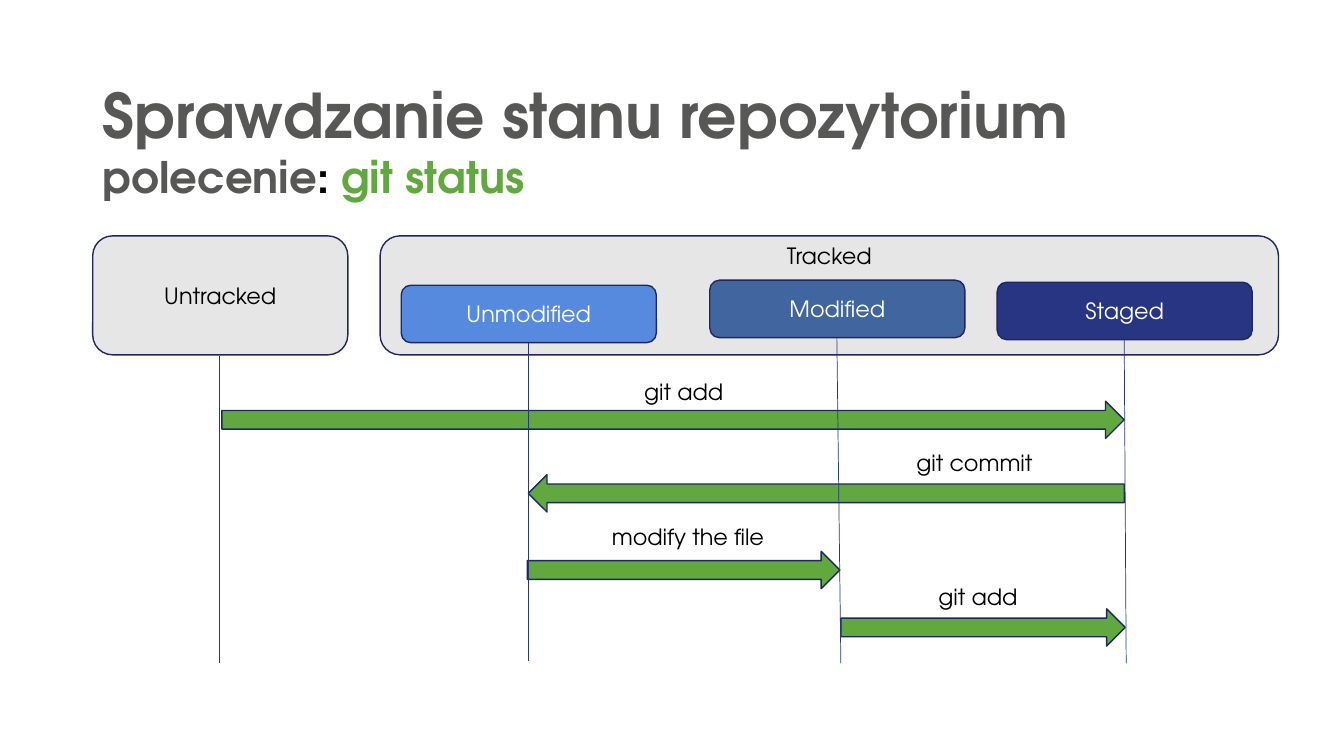
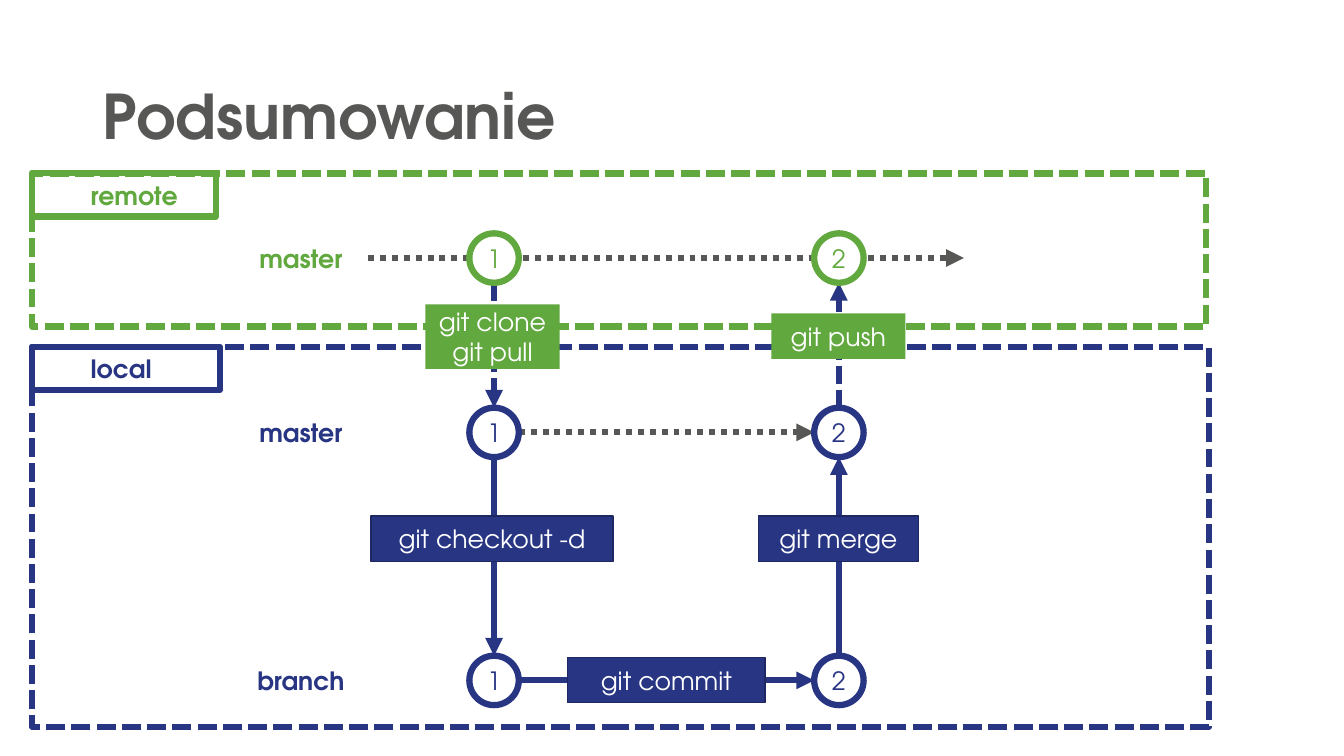
"""Build two slides on Git file states and the Git workflow."""
import dataclasses
import typing

import lxml.etree
import pptx
import pptx.dml.color
import pptx.enum.dml
import pptx.enum.shapes
import pptx.enum.text
import pptx.oxml
import pptx.oxml.ns
import pptx.util

Inches = pptx.util.Inches
Pt = pptx.util.Pt
Kind = pptx.enum.shapes.MSO_SHAPE
Dash = pptx.enum.dml.MSO_LINE
Align = pptx.enum.text.PP_ALIGN
Anchor = pptx.enum.text.MSO_ANCHOR

FONT = "TeX Gyre Adventor"
HEX = {
    "navy": "283583",
    "edge": "1E2761",
    "green": "61A83F",
    "gray": "575756",
    "pale": "E7E6E6",
    "sky": "558ADF",
    "steel": "41669F",
    "black": "000000",
    "white": "FFFFFF",
}


@dataclasses.dataclass
class Run:
    text: str
    size: float
    color: str
    bold: bool = False


@dataclasses.dataclass
class Box:
    left: float
    top: float
    width: float
    height: float
    kind: typing.Any = Kind.RECTANGLE
    fill: str = ""
    edge: str = ""
    weight: float = 1
    dash: typing.Any = None
    run: typing.Optional[Run] = None
    align: typing.Any = Align.CENTER
    anchor: typing.Any = Anchor.MIDDLE
    inset: float = 0.1
    head: float = 0.05


@dataclasses.dataclass
class Link:
    start: tuple[float, float]
    end: tuple[float, float]
    color: str = "navy"
    weight: float = 4.25
    dash: typing.Any = None
    arrow: bool = True


def tint(name: str) -> pptx.dml.color.RGBColor:
    return pptx.dml.color.RGBColor.from_string(HEX[name])


def write(para: typing.Any, item: Run) -> None:
    run = para.add_run()
    run.text = item.text
    run.font.name = FONT
    run.font.size = Pt(item.size)
    run.font.bold = item.bold
    run.font.color.rgb = tint(item.color)


def draw(slide: typing.Any, box: Box) -> None:
    spot = [Inches(n) for n in (box.left, box.top, box.width, box.height)]
    if box.kind is None:
        shape = slide.shapes.add_textbox(*spot)
    else:
        shape = slide.shapes.add_shape(box.kind, *spot)
        shape.shadow.inherit = False
        if box.fill:
            shape.fill.solid()
            shape.fill.fore_color.rgb = tint(box.fill)
        else:
            shape.fill.background()
        if box.edge:
            shape.line.color.rgb = tint(box.edge)
            shape.line.width = Pt(box.weight)
            if box.dash is not None:
                shape.line.dash_style = box.dash
        else:
            shape.line.fill.background()
    if box.run:
        frame = shape.text_frame
        frame.word_wrap = True
        frame.vertical_anchor = box.anchor
        frame.margin_left = Inches(box.inset)
        frame.margin_top = Inches(box.head)
        para = frame.paragraphs[0]
        para.alignment = box.align
        write(para, box.run)


def join(slide: typing.Any, link: Link) -> None:
    ends = [Inches(n) for n in (*link.start, *link.end)]
    line = slide.shapes.add_connector(
        pptx.enum.shapes.MSO_CONNECTOR.STRAIGHT, *ends)
    line.line.color.rgb = tint(link.color)
    line.line.width = Pt(link.weight)
    if link.dash is not None:
        line.line.dash_style = link.dash
    if link.arrow:
        tail = lxml.etree.SubElement(
            line.line._get_or_add_ln(), pptx.oxml.ns.qn("a:tailEnd"))
        tail.set("type", "triangle")
    lxml.etree.SubElement(
        line._element.spPr, pptx.oxml.ns.qn("a:effectLst"))


def start(deck: typing.Any, top: float, *rows: list[Run]) -> typing.Any:
    slide = deck.slides.add_slide(deck.slide_layouts[5])
    title = slide.shapes.title
    title.left, title.top = Inches(0.92), Inches(top)
    title.width, title.height = Inches(11.5), Inches(1.45)
    frame = title.text_frame
    frame.word_wrap = True
    frame.auto_size = pptx.enum.text.MSO_AUTO_SIZE.NONE
    frame.vertical_anchor = Anchor.MIDDLE
    para = frame.paragraphs[0]
    para.alignment = Align.LEFT
    for place, row in enumerate(rows):
        if place:
            para.add_line_break()
        for item in row:
            write(para, item)
    return slide


def states(deck: typing.Any) -> None:
    slide = start(
        deck, 0.66,
        [Run("Sprawdzanie stanu repozytorium", 44, "gray", True)],
        [Run("polecenie", 31, "gray", True), Run(": ", 31, "black", True),
         Run("git status", 31, "green", True)])
    round_box = Kind.ROUNDED_RECTANGLE
    draw(slide, Box(3.77, 2.34, 8.91, 1.18, round_box, "pale", "edge",
                    run=Run("Tracked", 16, "black"),
                    anchor=Anchor.TOP, head=0))
    draw(slide, Box(0.92, 2.34, 2.53, 1.18, round_box, "pale", "edge",
                    run=Run("Untracked", 16, "black")))
    for left, top, fill, text in (
            (3.98, 2.83, "sky", "Unmodified"),
            (7.04, 2.78, "steel", "Modified"),
            (9.89, 2.8, "navy", "Staged")):
        draw(slide, Box(left, top, 2.53, 0.57, round_box, fill, "edge",
                        run=Run(text, 16, "white")))
    right, back = Kind.RIGHT_ARROW, Kind.LEFT_ARROW
    for kind, left, top, width, text, text_left, text_top in (
            (right, 2.2, 3.98, 8.95, "git add", 6.29, 3.7),
            (back, 5.24, 4.71, 5.91, "git commit", 8.99, 4.41),
            (right, 5.23, 5.47, 3.1, "modify the file", 5.97, 5.14),
            (right, 8.34, 6.04, 2.82, "git add", 9.21, 5.74)):
        draw(slide, Box(left, top, width, 0.37, kind, "green", "edge"))
        draw(slide, Box(text_left, text_top, 1.8, 0.37, None,
                        run=Run(text, 16, "black"),
                        align=Align.LEFT, anchor=Anchor.TOP))
    for first, last in (
            ((2.18, 3.53), (2.18, 6.58)),
            ((5.24, 3.4), (5.24, 6.56)),
            ((8.3, 3.35), (8.34, 6.58)),
            ((11.15, 3.37), (11.17, 6.58))):
        join(slide, Link(first, last, weight=0.5, arrow=False))


def summary(deck: typing.Any) -> None:
    slide = start(deck, 0.41, [Run("Podsumowanie", 44, "gray", True)])
    cols = {"1": 4.9, "2": 8.32}
    rows = (("master", 2.56, "green"), ("master", 4.29, "navy"),
            ("branch", 6.75, "navy"))
    far, near, low = (mid for _, mid, _ in rows)
    one, two = cols.values()
    half = 0.245
    dot, dash = Dash.ROUND_DOT, Dash.SQUARE_DOT

    for text, color, top, width, height, tab in (
            ("remote", "green", 1.72, 11.64, 1.52, 1.82),
            ("local", "navy", 3.44, 11.67, 3.77, 1.86)):
        draw(slide, Box(0.32, top, width, height, edge=color,
                        weight=4.5, dash=dash))
        draw(slide, Box(0.32, top, tab, 0.43, edge=color, weight=4.5,
                        run=Run(text, 18, color, True),
                        align=Align.LEFT, inset=0.58))

    for link in (
            Link((3.65, far), (9.56, far), "gray", dash=dot),
            Link((one + half, near), (two - half, near), "gray", dash=dot),
            Link((one, far + half), (one, near - half), dash=dash),
            Link((one, near + half), (one, low - half)),
            Link((one + half, low), (two - half, low)),
            Link((two, low - half), (two, near + half)),
            Link((two, near - half), (two, far + half), dash=dash)):
        join(slide, link)

    for text, mid, color in rows:
        draw(slide, Box(2.32, mid - 0.225, 1.33, 0.45, None,
                        run=Run(text, 18, color, True)))
        for mark, col in cols.items():
            draw(slide, Box(col - half, mid - half, 2 * half, 2 * half,
                            Kind.OVAL, "white", color, 4.5,
                            run=Run(mark, 18, color)))

    for text, left, top, width, height, fill, edge in (
            ("git clone git pull", 4.22, 3.02, 1.33, 0.64, "green", ""),
            ("git push", 7.65, 3.11, 1.33, 0.45, "green", ""),
            ("git checkout -d", 3.68, 5.12, 2.4, 0.45, "navy", "edge"),
            ("git merge", 7.52, 5.12, 1.59, 0.45, "navy", "edge"),
            ("git commit", 5.63, 6.52, 1.96, 0.45, "navy", "edge")):
        draw(slide, Box(left, top, width, height, fill=fill, edge=edge,
                        run=Run(text, 18, "white")))


def main() -> None:
    deck = pptx.Presentation()
    deck.slide_width, deck.slide_height = Inches(13.33), Inches(7.5)
    states(deck)
    summary(deck)
    deck.save("out.pptx")


if __name__ == "__main__":
    main()
